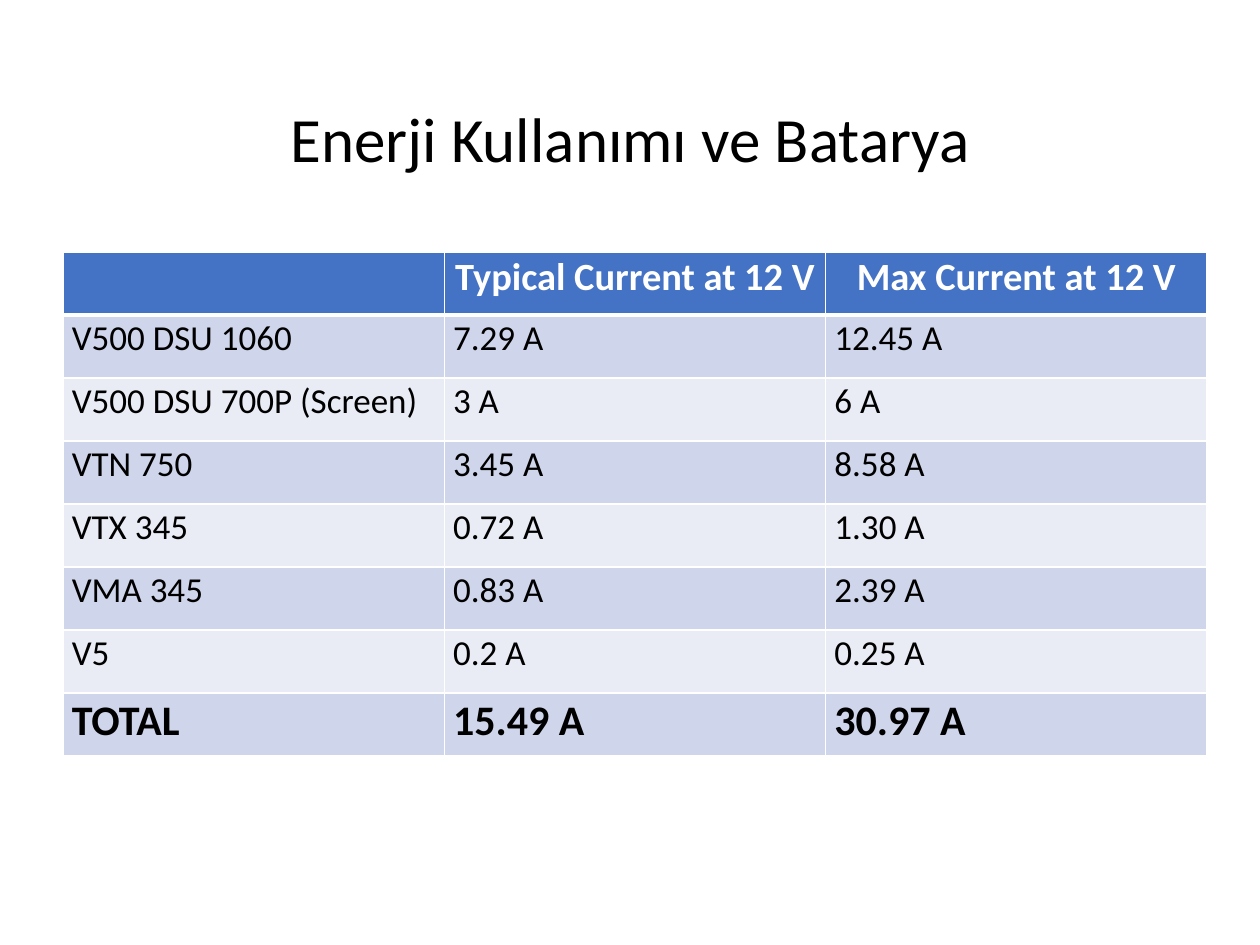
from lxml.etree import SubElement
from pptx import Presentation
from pptx.dml.color import RGBColor
from pptx.enum.text import MSO_ANCHOR, PP_ALIGN
from pptx.oxml.ns import qn
from pptx.util import Inches, Pt

TITLE = "Enerji Kullanımı ve Batarya"
ROWS = [
    ("", "Typical Current at 12 V", "Max Current at 12 V"),
    ("V500 DSU 1060", "7.29 A", "12.45 A"),
    ("V500 DSU 700P (Screen)", "3 A", "6 A"),
    ("VTN 750", "3.45 A", "8.58 A"),
    ("VTX 345", "0.72 A", "1.30 A"),
    ("VMA 345", "0.83 A", "2.39 A"),
    ("V5", "0.2 A", "0.25 A"),
    ("TOTAL", "15.49 A", "30.97 A"),
]
HEADER_FILL, BANDS = "4472C4", ("E9EBF5", "CFD5EA")
WHITE, BLACK = "FFFFFF", "000000"
TABLE_WIDTH, ROW_HEIGHT = 9.08, 0.5


def color(value):
    return RGBColor.from_string(value)


def style_text(para, size, ink, bold, align, spacing):
    para.alignment = align
    para.line_spacing = spacing
    para.font.name = "Calibri"
    para.font.size = Pt(size)
    para.font.bold = bold
    para.font.color.rgb = color(ink)


def add_borders(cell, widths):
    properties = cell._tc.get_or_add_tcPr()
    for side, width in zip("LRTB", widths):
        line = SubElement(properties, qn(f"a:ln{side}"), w=str(Pt(width)))
        fill = SubElement(line, qn("a:solidFill"))
        SubElement(fill, qn("a:srgbClr"), val=WHITE)


def add_title(page):
    box = page.shapes.add_textbox(Inches(0.69), Inches(0.4), Inches(8.62), Inches(1.45))
    frame = box.text_frame
    frame.word_wrap = True
    frame.vertical_anchor = MSO_ANCHOR.MIDDLE
    frame.text = TITLE
    style_text(frame.paragraphs[0], 36, BLACK, False, PP_ALIGN.CENTER, 0.9)


def add_current_table(page):
    columns = len(ROWS[0])
    table = page.shapes.add_table(
        len(ROWS), columns, Inches(0.5), Inches(2),
        Inches(TABLE_WIDTH), Inches(ROW_HEIGHT * len(ROWS)),
    ).table
    for column in table.columns:
        column.width = Inches(TABLE_WIDTH / columns)
    for r, row in enumerate(ROWS):
        header, total = r == 0, r == len(ROWS) - 1
        size = 22 if header else 24 if total else 20
        ink = WHITE if header else BLACK
        align = PP_ALIGN.CENTER if header else PP_ALIGN.LEFT
        for c, text in enumerate(row):
            cell = table.cell(r, c)
            cell.margin_left = cell.margin_right = Inches(0.07)
            cell.margin_top = cell.margin_bottom = 0
            add_borders(cell, (1, 1, 3 if r == 1 else 1, 3 if header else 1))
            cell.fill.solid()
            cell.fill.fore_color.rgb = color(HEADER_FILL if header else BANDS[r % 2])
            cell.text = text
            style_text(cell.text_frame.paragraphs[0], size, ink, header or total, align, 1.05)


def main():
    deck = Presentation()
    deck.slide_width, deck.slide_height = Inches(10), Inches(7.5)
    page = deck.slides.add_slide(deck.slide_layouts[6])
    add_title(page)
    add_current_table(page)
    deck.save("out.pptx")


if __name__ == "__main__":
    main()
